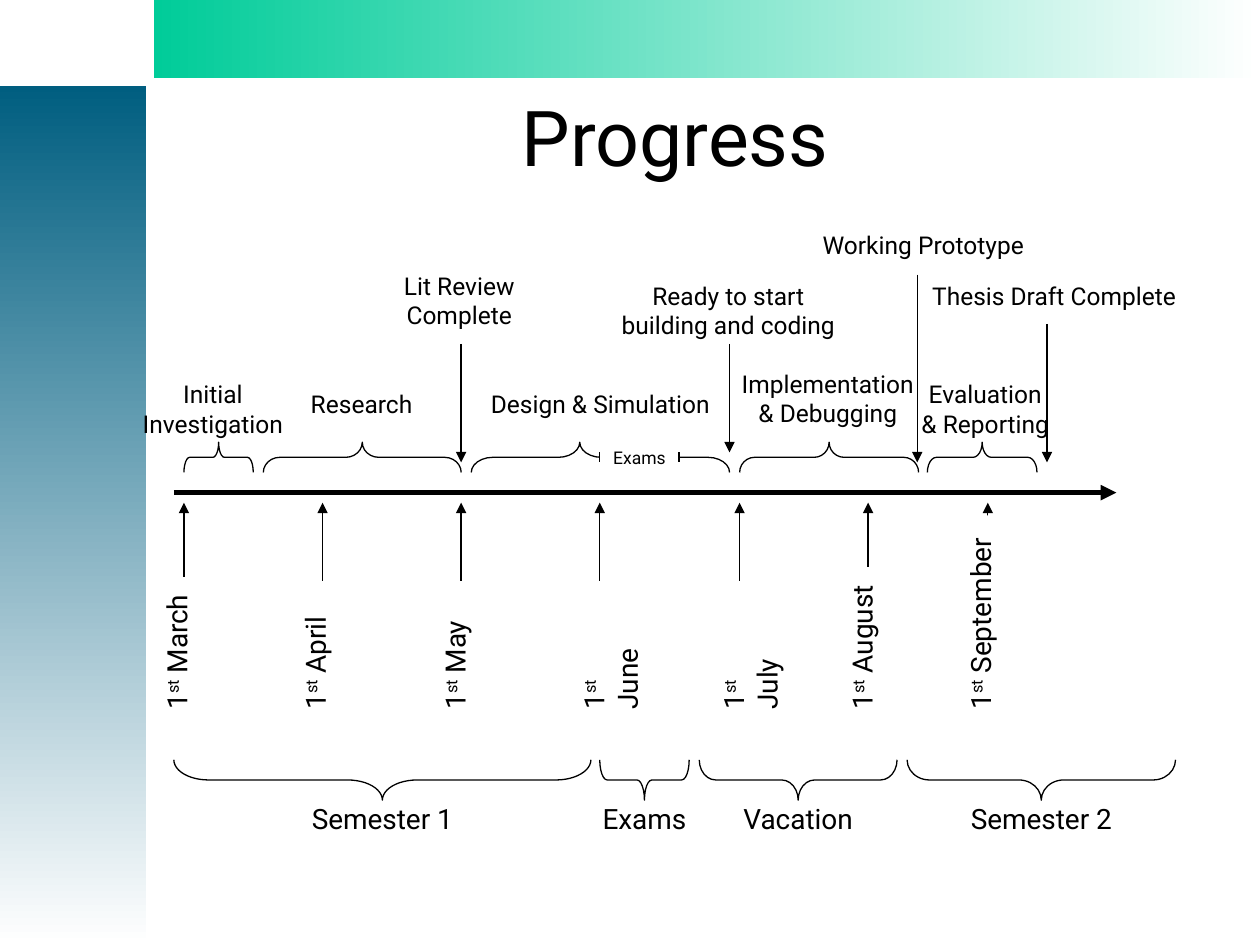
from pptx import Presentation
from pptx.dml.color import RGBColor
from pptx.enum.shapes import MSO_CONNECTOR, MSO_SHAPE
from pptx.enum.text import MSO_ANCHOR, PP_ALIGN
from pptx.oxml.ns import qn
from pptx.util import Inches, Pt
from lxml.etree import SubElement

FONT, INK, PAPER = "Roboto", "000000", "FFFFFF"

MONTHS = [("March", 1.46, 1.40, 1.15), ("April", 2.56, 2.50, 0.97), ("May", 3.66, 3.61, 0.93),
          ("June", 4.76, 4.71, 0.95), ("July", 5.87, 5.82, 0.86), ("August", 6.89, 6.84, 1.23),
          ("September", 7.84, 7.78, 1.64)]
PHASE_BRACES = [(1.46, 0.55, 0.5), (2.09, 1.57, 0.5), (3.74, 2.05, 0.58),
                (5.87, 1.42, 0.5), (7.36, 0.87, 0.5)]
TERMS = [("Semester 1", 1.38, 3.31), ("Exams", 4.76, 0.71), ("Vacation", 5.55, 1.57),
         ("Semester 2", 7.20, 2.13)]
PHASES = [("Initial\nInvestigation", 0.98, 2.96, 1.42, 0.57), ("Research", 2.16, 3.04, 1.42, 0.34),
          ("Design & Simulation", 3.74, 3.04, 2.05, 0.34),
          ("Implementation\n& Debugging", 5.73, 2.88, 1.68, 0.57),
          ("Evaluation\n& Reporting", 7.17, 2.96, 1.30, 0.57),
          ("Lit Review\nComplete", 3.09, 2.10, 1.11, 0.57),
          ("Ready to start\nbuilding and coding", 4.77, 2.18, 2.02, 0.57)]
DELIVERABLES = [("Working Prototype", 6.43, 1.78, 1.93, 0.34),
                ("Thesis Draft Complete", 7.30, 2.18, 2.23, 0.34)]
MILESTONES = [(3.66, 2.73, 3.67), (5.79, 2.73, 3.59), (7.28, 2.18, 3.67), (8.31, 2.57, 3.67)]


def rgb(value):
    """Turn a hex string into a colour."""
    return RGBColor.from_string(value)


def add_run(p, text, size, raised=False):
    """Add a formatted run to a paragraph."""
    r = p.add_run()
    r.text = text
    r.font.name, r.font.size = FONT, Pt(size)
    r.font.color.rgb = rgb(INK)
    if raised:
        r._r.get_or_add_rPr().set("baseline", "30000")


def write(s, text, size=14, align=PP_ALIGN.CENTER, anchor=MSO_ANCHOR.TOP, wrap=True):
    """Write text in a shape; a caret pair marks superscript."""
    tf = s.text_frame
    tf.word_wrap, tf.vertical_anchor = wrap, anchor
    for i, line in enumerate(text.split("\n")):
        p = tf.paragraphs[0] if i == 0 else tf.add_paragraph()
        p.alignment = align
        for j, part in enumerate(line.split("^")):
            add_run(p, part, size, raised=j % 2 == 1)


def add_label(slide, text, x, y, w, h, **fmt):
    """Add a text box."""
    write(slide.shapes.add_textbox(Inches(x), Inches(y), Inches(w), Inches(h)), text, **fmt)


def add_box(slide, x, y, w, h, fill=PAPER):
    """Add a plain rectangle without outline."""
    s = slide.shapes.add_shape(MSO_SHAPE.RECTANGLE, Inches(x), Inches(y), Inches(w), Inches(h))
    s.shadow.inherit = False
    s.fill.solid()
    s.fill.fore_color.rgb = rgb(fill)
    s.line.fill.background()
    return s


def add_band(slide, x, y, w, h, start, end, angle):
    """Add a rectangle with a two-colour gradient."""
    s = add_box(slide, x, y, w, h)
    s.fill.gradient()
    s.fill.gradient_angle = angle
    for stop, colour, pos in zip(s.fill.gradient_stops, (start, end), (0, 1)):
        stop.color.rgb = rgb(colour)
        stop.position = pos


def add_line(slide, x1, y1, x2, y2, width=0.75, arrow=True):
    """Add a straight line, with an arrowhead at its end if wanted."""
    s = slide.shapes.add_connector(MSO_CONNECTOR.STRAIGHT, Inches(x1), Inches(y1),
                                   Inches(x2), Inches(y2))
    s.line.width = Pt(width)
    s.line.color.rgb = rgb(INK)
    if arrow:
        SubElement(s.line._get_or_add_ln(), qn("a:tailEnd"), type="triangle")
    SubElement(s._element.spPr, qn("a:effectLst"))


def add_brace(slide, x, y, length, depth, rotation, tip=0.5):
    """Add a horizontal brace whose visible top left corner is x, y."""
    s = slide.shapes.add_shape(MSO_SHAPE.LEFT_BRACE, Inches(x + (length - depth) / 2),
                               Inches(y + (depth - length) / 2), Inches(depth), Inches(length))
    s.rotation = rotation
    s.adjustments[0] = length / 12 / depth
    s.adjustments[1] = tip
    s.shadow.inherit = False
    s.fill.background()
    s.line.width = Pt(0.75)
    s.line.color.rgb = rgb(INK)


def add_month(slide, name, x, middle, length):
    """Add an upright month label with its arrow to the time axis."""
    bottom, h = 5.73, 0.37
    add_line(slide, x, 4.61, x, 3.99)
    s = add_box(slide, middle - length / 2, bottom - (length + h) / 2, length, h)
    s.rotation = 270
    write(s, f"1^st^ {name}", size=16, align=PP_ALIGN.LEFT)


def add_term(slide, name, x, length):
    """Add a brace under the axis with the term name below it."""
    add_brace(slide, x, 6.03, length, 0.32, 270)
    add_label(slide, name, x + length / 2 - 0.75, 6.31, 1.5, 0.37, size=16)


def add_exams(slide):
    """Add the exam break inside the design phase."""
    left, w = 4.76, 0.63
    s = add_box(slide, left, 3.51, w, 0.24)
    write(s, "Exams", size=10, anchor=MSO_ANCHOR.MIDDLE, wrap=False)
    for x in (left, left + w):
        add_line(slide, x, 3.59, x, 3.67, arrow=False)


def add_title(slide, text):
    """Place and fill the title placeholder."""
    s = slide.shapes.title
    s.left, s.top, s.width, s.height = (Inches(v) for v in (1.22, 0.6, 8.28, 0.95))
    write(s, text, size=44, anchor=MSO_ANCHOR.MIDDLE)


def main():
    """Build the progress timeline."""
    prs = Presentation()
    prs.slide_width, prs.slide_height = Inches(10), Inches(7.5)
    slide = prs.slides.add_slide(prs.slide_layouts[5])
    add_band(slide, 0, 0.68, 1.16, 6.82, "005E80", PAPER, 270)
    add_band(slide, 1.22, 0, 8.78, 0.62, "00CC99", PAPER, 0)
    add_title(slide, "Progress")
    add_line(slide, 1.38, 3.91, 8.86, 3.91, width=3)
    for month in MONTHS:
        add_month(slide, *month)
    for x, length, tip in PHASE_BRACES:
        add_brace(slide, x, 3.51, length, 0.24, 90, tip)
    for term in TERMS:
        add_term(slide, *term)
    for phase in PHASES:
        add_label(slide, *phase)
    for deliverable in DELIVERABLES:
        add_label(slide, *deliverable, align=PP_ALIGN.LEFT)
    for x, top, bottom in MILESTONES:
        add_line(slide, x, top, x, bottom)
    add_exams(slide)
    prs.save("out.pptx")


if __name__ == "__main__":
    main()
